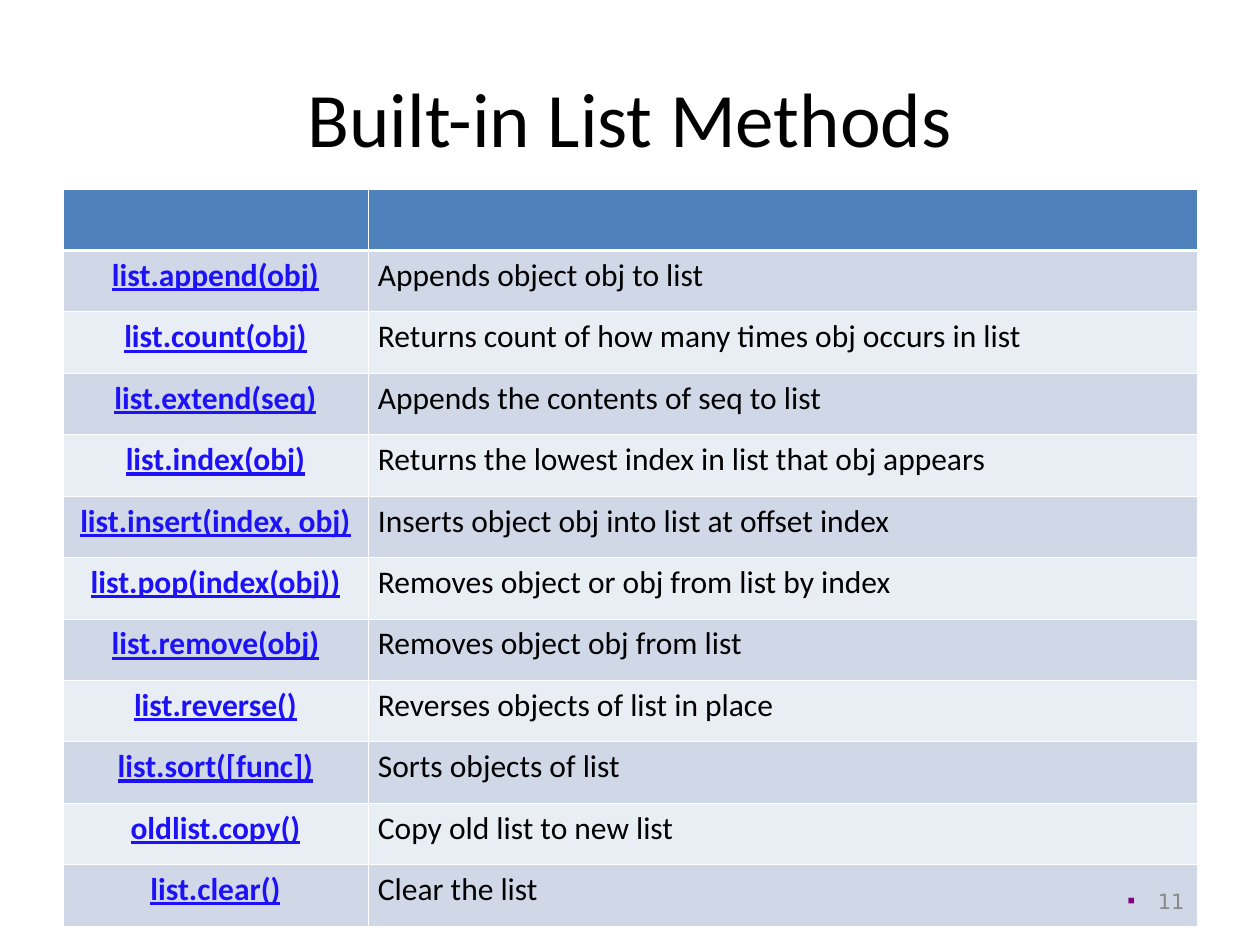
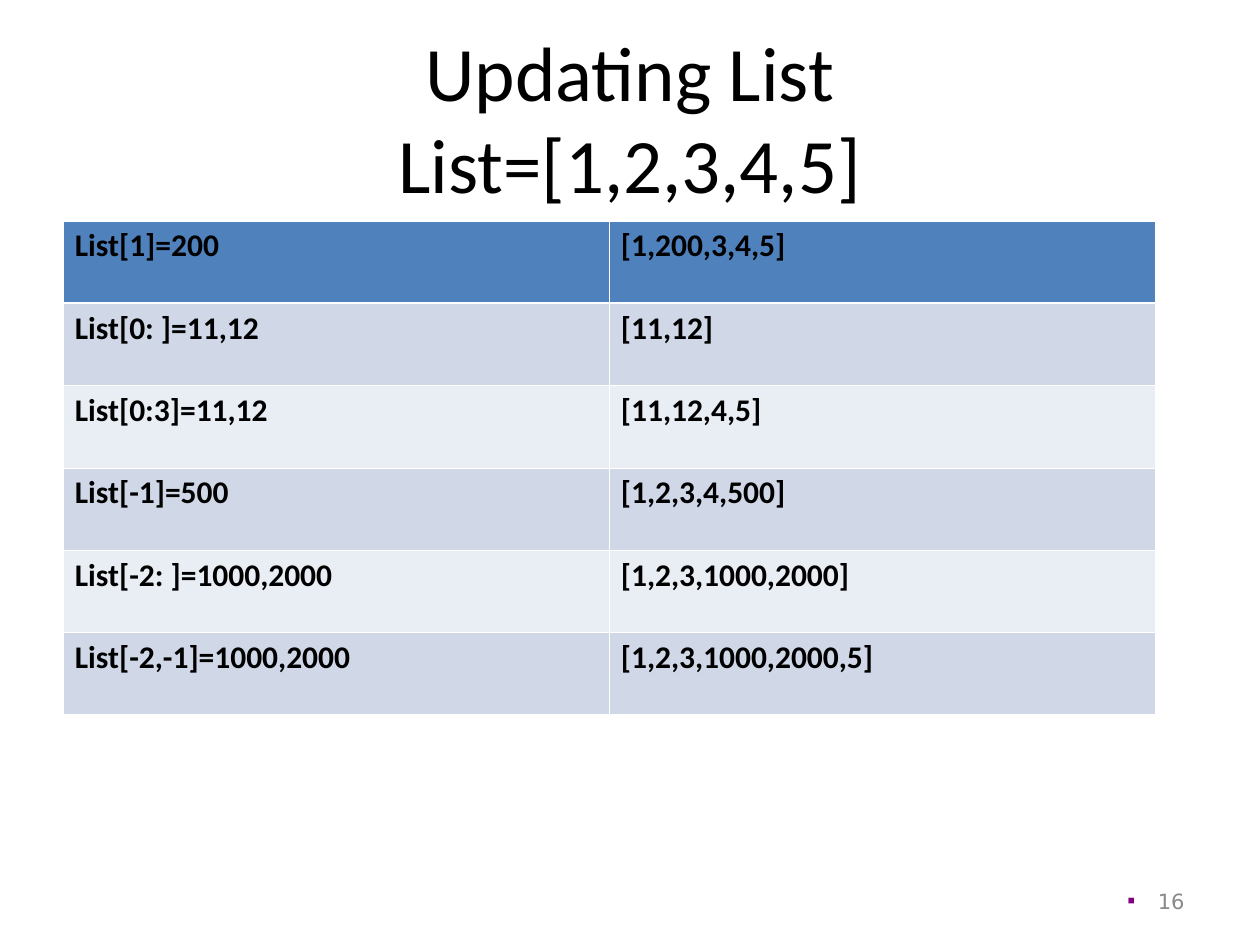
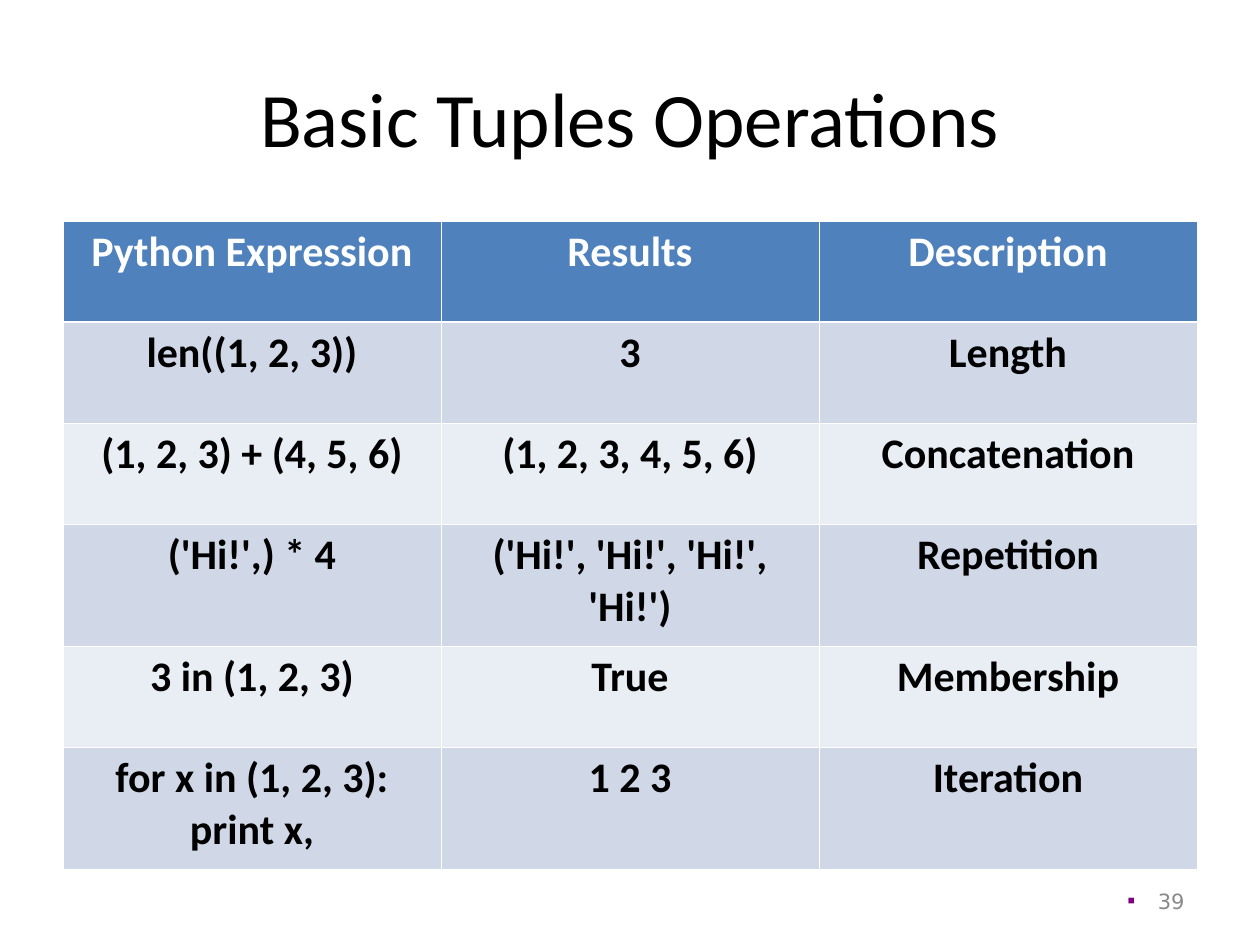
from lxml import etree
from pptx import Presentation, util as u
from pptx.dml.color import RGBColor
from pptx.enum import text
from pptx.oxml.ns import qn

SCALE = 914400 / 126
BLACK, WHITE, LINK = "000000", "FFFFFF", "1D12F6"
HEADER, BANDS = "4F81BD", ("D0D8E8", "E9EDF4")
GREY, PURPLE = "898989", "800080"
BODY_FONT, NUMBER_FONT, BULLET_FONT = "Calibri", "DejaVu Sans", "Arial"
THIN, THICK = 0.45, 1.47
LEFT, CENTER = text.PP_ALIGN.LEFT, text.PP_ALIGN.CENTER
RIGHT, JUSTIFY = text.PP_ALIGN.RIGHT, text.PP_ALIGN.JUSTIFY

LIST_METHODS = [
    ("", ""),
    ("list.append(obj)", "Appends object obj to list"),
    ("list.count(obj)", "Returns count of how many times obj occurs in list"),
    ("list.extend(seq)", "Appends the contents of seq to list"),
    ("list.index(obj)", "Returns the lowest index in list that obj appears"),
    ("list.insert(index, obj)", "Inserts object obj into list at offset index"),
    ("list.pop(index(obj))", "Removes object or obj from list by index"),
    ("list.remove(obj)", "Removes object obj from list"),
    ("list.reverse()", "Reverses objects of list in place"),
    ("list.sort([func])", "Sorts objects of list"),
    ("oldlist.copy()", "Copy old list to new list"),
    ("list.clear()", "Clear the list"),
]
LIST_UPDATES = [
    ("List[1]=200", "[1,200,3,4,5]"),
    ("List[0: ]=11,12", "[11,12]"),
    ("List[0:3]=11,12", "[11,12,4,5]"),
    ("List[-1]=500", "[1,2,3,4,500]"),
    ("List[-2: ]=1000,2000", "[1,2,3,1000,2000]"),
    ("List[-2,-1]=1000,2000", "[1,2,3,1000,2000,5]"),
]
TUPLE_OPERATIONS = [
    ("Python Expression", "Results", "Description"),
    ("len((1, 2, 3))", "3", "Length"),
    ("(1, 2, 3) + (4, 5, 6)", "(1, 2, 3, 4, 5, 6)", "Concatenation"),
    ("('Hi!',) * 4", "('Hi!', 'Hi!', 'Hi!', 'Hi!')", "Repetition"),
    ("3 in (1, 2, 3)", "True", "Membership"),
    ("for x in (1, 2, 3): print x,", "1 2 3", "Iteration"),
]


def px(length):
    """Turn a length in px into EMU."""
    return u.Emu(round(length * SCALE))


def rgb(value):
    """Turn a hex string into a colour."""
    return RGBColor.from_string(value)


def style(paragraph, size, color, align, font=BODY_FONT, bold=False, underline=False):
    """Align a paragraph and format its runs."""
    paragraph.alignment = align
    for run in paragraph.runs:
        run.font.name = font
        run.font.size = u.Pt(size)
        run.font.color.rgb = rgb(color)
        run.font.bold = bold
        run.font.underline = underline


def add_text(slide, left, top, width, height, content):
    """Add a wrapped, vertically centred text box and return its paragraph."""
    frame = slide.shapes.add_textbox(px(left), px(top), px(width), px(height)).text_frame
    frame.text = content
    frame.word_wrap = True
    frame.vertical_anchor = text.MSO_ANCHOR.MIDDLE
    return frame.paragraphs[0]


def add_title(slide, content):
    """Add the slide title."""
    style(add_text(slide, 63, 38, 1134, 157, content), 44, BLACK, CENTER)


def add_number(slide, number):
    """Add the slide number with its square bullet."""
    paragraph = add_text(slide, 903, 876, 294, 50, str(number))
    properties = paragraph._p.get_or_add_pPr()
    properties.set("marL", str(px(30)))
    properties.set("indent", str(px(-30)))
    color = etree.SubElement(properties, qn("a:buClr"))
    etree.SubElement(color, qn("a:srgbClr"), val=PURPLE)
    etree.SubElement(properties, qn("a:buSzPct"), val="55000")
    etree.SubElement(properties, qn("a:buFont"), typeface=BULLET_FONT)
    etree.SubElement(properties, qn("a:buChar"), char="■")
    style(paragraph, 12, GREY, RIGHT, NUMBER_FONT)


def set_borders(cell, row):
    """Draw white cell borders, with a thicker rule under the header."""
    properties = cell._tc.get_or_add_tcPr()
    widths = {"L": THIN, "R": THIN,
              "T": THICK if row == 1 else THIN,
              "B": THICK if row == 0 else THIN}
    for side, width in widths.items():
        line = etree.SubElement(properties, qn(f"a:ln{side}"), w=str(u.Pt(width)))
        fill = etree.SubElement(line, qn("a:solidFill"))
        etree.SubElement(fill, qn("a:srgbClr"), val=WHITE)


def add_table(slide, top, widths, heights, rows, columns, margin=10, header=None):
    """Add a banded table; columns and header hold text styles."""
    frame = slide.shapes.add_table(len(rows), len(widths), px(63), px(top),
                                   px(sum(widths)), px(sum(heights)))
    table = frame.table
    table.first_row = table.horz_banding = False
    for column, width in zip(table.columns, widths):
        column.width = px(width)
    for index, (row, height) in enumerate(zip(rows, heights)):
        table.rows[index].height = px(height)
        for position, content in enumerate(row):
            cell = table.cell(index, position)
            set_borders(cell, index)
            cell.fill.solid()
            cell.fill.fore_color.rgb = rgb(BANDS[(index - 1) % 2] if index else HEADER)
            cell.margin_left = cell.margin_right = px(margin)
            cell.margin_top = cell.margin_bottom = px(6)
            cell.text_frame.text = content
            look = header if header and index == 0 else columns[position]
            style(cell.text_frame.paragraphs[0], **look)


def add_slide(presentation, title):
    """Add a blank slide with a title."""
    slide = presentation.slides.add_slide(presentation.slide_layouts[6])
    add_title(slide, title)
    return slide


def main():
    """Build the three slides."""
    presentation = Presentation()
    presentation.slide_width, presentation.slide_height = px(1260), px(945)

    slide = add_slide(presentation, "Built-in List Methods")
    method = dict(size=18, color=LINK, align=CENTER, bold=True, underline=True)
    meaning = dict(size=18, color=BLACK, align=JUSTIFY)
    add_table(slide, 189, [305, 829], [737 / 12] * 12, LIST_METHODS, [method, meaning])
    add_number(slide, 11)

    slide = add_slide(presentation, "Updating List\vList=[1,2,3,4,5]")
    update = dict(size=18, color=BLACK, align=LEFT, bold=True)
    add_table(slide, 221, [546] * 2, [494 / 6] * 6, LIST_UPDATES, [update] * 2, margin=12)
    add_number(slide, 16)

    slide = add_slide(presentation, "Basic Tuples Operations")
    operation = dict(size=24, color=BLACK, align=CENTER, bold=True)
    add_table(slide, 221, [378] * 3, [101, 101, 101, 122, 101, 122], TUPLE_OPERATIONS,
              [operation] * 3, header={**operation, "color": WHITE})
    add_number(slide, 39)

    presentation.save("out.pptx")


if __name__ == "__main__":
    main()
